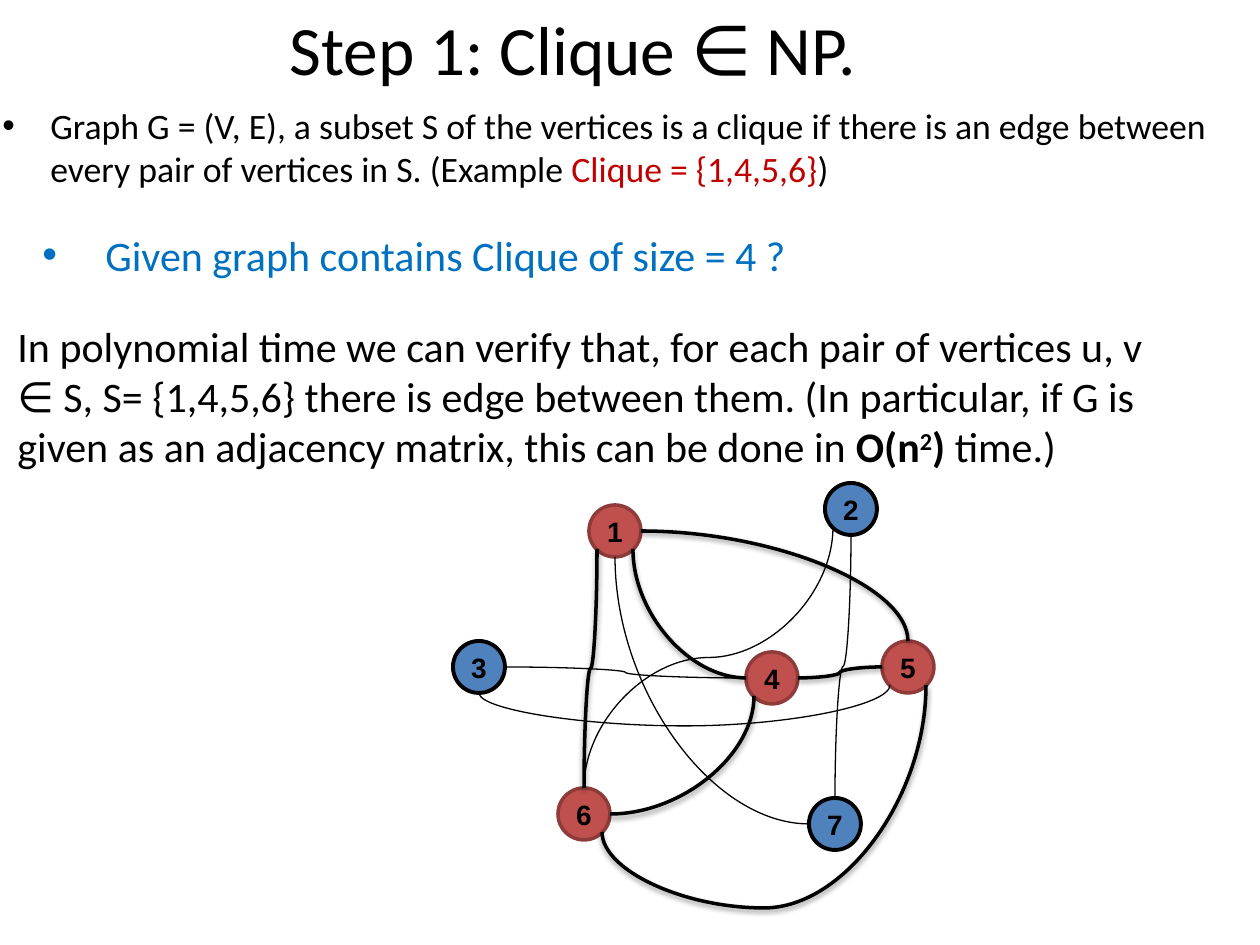
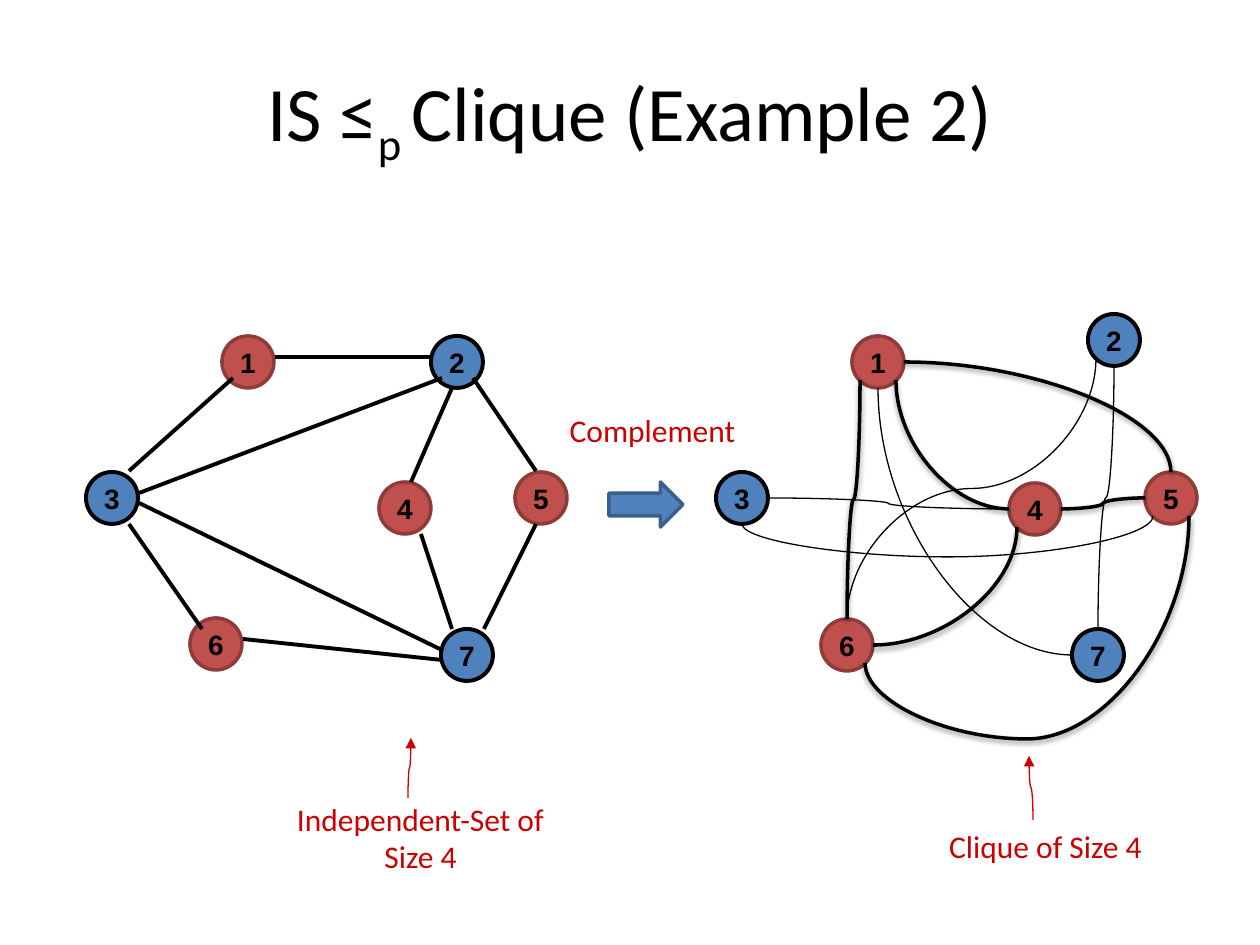
"""Build two slides on the Clique problem: membership in NP and reduction from IS."""
from lxml import etree
from pptx import Presentation
from pptx import util as u
from pptx.dml.color import RGBColor
from pptx.enum import shapes, text
from pptx.oxml import ns

BLACK = RGBColor(0, 0, 0)
BLUE = RGBColor(0x4F, 0x81, 0xBD)
BLUE_EDGE = RGBColor(0x3A, 0x5F, 0x8C)
RED = RGBColor(0xC0, 0x50, 0x4D)
RED_EDGE = RGBColor(0x8E, 0x3B, 0x39)
QUESTION = RGBColor(0x00, 0x70, 0xC0)
EXAMPLE = RGBColor(0xC0, 0x00, 0x00)
CALLOUT = RGBColor(0xCC, 0x00, 0x00)

PX = 914400 / 126
RADIUS, DIAGONAL = 26, 18
LIGHT, HEAVY, STRAIGHT = 0.75, 2, 2.25
CLIQUE = {1, 4, 5, 6}
SITES = {
    "N": (0, -RADIUS), "S": (0, RADIUS), "E": (RADIUS, 0), "W": (-RADIUS, 0),
    "SE": (DIAGONAL, DIAGONAL), "SW": (-DIAGONAL, DIAGONAL),
}

COMPLEMENT_NODES = {
    1: (615, 531), 3: (479, 667), 2: (851, 509), 6: (584, 814),
    7: (835, 824), 4: (772, 678), 5: (908, 667),
}
COMPLEMENT_EDGES = [
    (3, "S", 5, "SW", LIGHT, 726),
    (1, "E", 5, "N", HEAVY, None),
    (1, "SE", 4, "W", HEAVY, None),
    (1, "SW", 6, "N", HEAVY, None),
    (1, "S", 7, "W", LIGHT, None),
    (2, "S", 7, "N", LIGHT, None),
    (2, "SW", 6, "N", LIGHT, None),
    (3, "E", 4, "W", LIGHT, None),
    (4, "E", 5, "W", HEAVY, None),
    (4, "SW", 6, "E", HEAVY, None),
    (5, "SE", 6, "SE", HEAVY, 908),
]
COMPLEMENT_SHIFT = (263, -169)

GRAPH_NODES = {
    1: (248, 362), 3: (112, 498), 2: (457, 362), 6: (216, 644),
    7: (467, 655), 4: (405, 508), 5: (541, 498),
}
GRAPH_EDGES = [
    (129, 471, 233, 378), (275, 357, 431, 357), (473, 378, 536, 471),
    (452, 388, 411, 482), (139, 493, 442, 378), (129, 524, 202, 629),
    (139, 503, 442, 650), (243, 639, 442, 660), (421, 534, 452, 629),
    (536, 524, 484, 629),
]

DEFINITION = [
    ("Graph G = (V, E), a subset S of the vertices is a clique if there is an edge "
     "between every pair of vertices in S. (Example ", {}),
    ("Clique = {1,4,5,6}", {"color": EXAMPLE}),
    (")", {}),
]
VERIFICATION = [
    ("In polynomial time we can verify that, for each pair of vertices u, v ∈ S, "
     "S= {1,4,5,6} there is edge between them. (In particular, if G is given as an "
     "adjacency matrix, this can be done in ", {}),
    ("O(n", {"bold": True}),
    ("2", {"bold": True, "baseline": 30}),
    (") ", {"bold": True}),
    ("time.)", {}),
]
REDUCTION = [("IS ≤", {}), ("p ", {"baseline": -25}), ("Clique (Example 2)", {})]
CALLOUTS = [
    ("Independent-Set of Size 4", 280, 748),
    ("Clique of Size 4", 905, 756),
    ("Complement", 512, 340),
]
CALLOUT_ARROWS = [((408, 798), (411, 738)), ((1033, 820), (1029, 756))]


def px(*values):
    return [u.Emu(round(v * PX)) for v in values]


def sub(parent, tag, **attrs):
    return etree.SubElement(parent, ns.qn(tag), {k: str(v) for k, v in attrs.items()})


def write(sp, runs, size=24, font="Calibri", color=BLACK, bold=False, center=False,
          middle=False, wrap=True, indent=0, inset=None):
    tf = sp.text_frame
    tf.word_wrap = wrap
    tf.vertical_anchor = text.MSO_ANCHOR.MIDDLE if middle else text.MSO_ANCHOR.TOP
    if inset is not None:
        tf.margin_left = tf.margin_right = tf.margin_top = tf.margin_bottom = px(inset)[0]
    p = tf.paragraphs[0]
    p.alignment = text.PP_ALIGN.CENTER if center else text.PP_ALIGN.LEFT
    if indent:
        pPr = p._p.get_or_add_pPr()
        pPr.set("marL", str(px(indent)[0]))
        pPr.set("indent", str(px(-indent)[0]))
        sub(pPr, "a:buFont", typeface="Arial")
        sub(pPr, "a:buChar", char="•")
    for words, style in [(runs, {})] if isinstance(runs, str) else runs:
        r = p.add_run()
        r.text = words
        r.font.name, r.font.size = font, u.Pt(size)
        r.font.bold = style.get("bold", bold)
        r.font.color.rgb = style.get("color", color)
        if "baseline" in style:
            r._r.get_or_add_rPr().set("baseline", str(style["baseline"] * 1000))


def add_text(s, box, runs, **style):
    write(s.shapes.add_textbox(*px(*box)), runs, **style)


def add_title(s, box, runs, size):
    add_text(s, box, runs, size=size, center=True, middle=True)


def add_shape(s, kind, box, fill, edge, width):
    sp = s.shapes.add_shape(kind, *px(*box))
    sp.shadow.inherit = False
    sp.fill.solid()
    sp.fill.fore_color.rgb = fill
    sp.line.color.rgb = edge
    sp.line.width = u.Pt(width)
    return sp


def add_nodes(s, nodes):
    for label, (x, y) in nodes.items():
        look = (RED, RED_EDGE, HEAVY) if label in CLIQUE else (BLUE, BLACK, STRAIGHT)
        box = (x - RADIUS, y - RADIUS, 2 * RADIUS, 2 * RADIUS)
        sp = add_shape(s, shapes.MSO_SHAPE.OVAL, box, *look)
        write(sp, str(label), size=16, font="Arial", bold=True,
              center=True, middle=True, wrap=False)


def add_line(s, kind, start, end, width, color=BLACK):
    line = s.shapes.add_connector(kind, *px(*start, *end))
    line.line.color.rgb = color
    line.line.width = u.Pt(width)
    return line, sub(line._element.spPr, "a:effectLst")


def add_curve(s, start, end, width, color=BLACK, upright=True, bends=3, mid=None):
    line, effects = add_line(s, shapes.MSO_CONNECTOR.CURVE, start, end, width, color)
    (x1, y1), (x2, y2) = start, end
    dx, dy = x2 - x1, y2 - y1
    w, h = (abs(dy), abs(dx)) if upright else (abs(dx), abs(dy))
    line.left, line.top, line.width, line.height = px(
        (x1 + x2 - w) / 2, (y1 + y2 - h) / 2, w, h)
    xfrm = line._element.spPr.find(ns.qn("a:xfrm"))
    turn = (270 if (dx > 0) == (dy > 0) else 90) if upright else 0
    xfrm.set("rot", str(turn * 60000))
    xfrm.set("flipH", str(int(dx > 0 if upright else dx < 0)))
    xfrm.set("flipV", str(int(dy < 0)))
    geom = line._element.spPr.find(ns.qn("a:prstGeom"))
    geom.set("prst", f"curvedConnector{bends}")
    if mid is not None:
        guides = geom.find(ns.qn("a:avLst"))
        if guides is None:
            guides = sub(geom, "a:avLst")
        sub(guides, "a:gd", name="adj1", fmla=f"val {round((mid - y1) / dy * 100000)}")
    if width == HEAVY:
        shadow = sub(effects, "a:outerShdw", blurRad=40000, dist=20000,
                     dir=5400000, rotWithShape=0)
        sub(sub(shadow, "a:srgbClr", val=BLACK), "a:alpha", val=38000)
    return line


def add_complement(s, shift=(0, 0)):
    dx, dy = shift
    nodes = {n: (x + dx, y + dy) for n, (x, y) in COMPLEMENT_NODES.items()}
    add_nodes(s, nodes)
    for a, site_a, b, site_b, width, mid in COMPLEMENT_EDGES:
        start, end = [tuple(c + o for c, o in zip(nodes[n], SITES[site]))
                      for n, site in ((a, site_a), (b, site_b))]
        upright = site_a not in "EW"
        bends = 3 if upright == (site_b not in "EW") else 2
        add_curve(s, start, end, width, upright=upright, bends=bends,
                  mid=None if mid is None else mid + dy)


def build_membership(s):
    add_title(s, (6, -3, 1134, 101), "Step 1: Clique ∈ NP.", 39.6)
    add_complement(s)
    add_text(s, (30, 223, 984, 63), "Given graph contains Clique of size = 4 ?",
             color=QUESTION, indent=63)
    add_text(s, (-10, 98, 1250, 81), DEFINITION, size=20.4, indent=48)
    add_text(s, (5, 314, 1192, 165), VERIFICATION)


def build_reduction(s):
    add_title(s, (63, 38, 1134, 158), REDUCTION, 44)
    add_nodes(s, GRAPH_NODES)
    for x1, y1, x2, y2 in GRAPH_EDGES:
        add_line(s, shapes.MSO_CONNECTOR.STRAIGHT, (x1, y1), (x2, y2), STRAIGHT)
    add_complement(s, COMPLEMENT_SHIFT)
    add_shape(s, shapes.MSO_SHAPE.RIGHT_ARROW, (609, 482, 74, 45), BLUE, BLUE_EDGE, 2)
    for words, x, y in CALLOUTS:
        add_text(s, (x, y, 281, 179), words, size=18, color=CALLOUT,
                 center=True, middle=True, inset=13)
    for start, end in CALLOUT_ARROWS:
        arrow = add_curve(s, start, end, LIGHT, CALLOUT)
        sub(arrow.line._get_or_add_ln(), "a:tailEnd", type="triangle")


def main():
    prs = Presentation()
    prs.slide_width, prs.slide_height = px(1260, 945)
    for build in (build_membership, build_reduction):
        build(prs.slides.add_slide(prs.slide_layouts[6]))
    prs.save("out.pptx")


if __name__ == "__main__":
    main()
